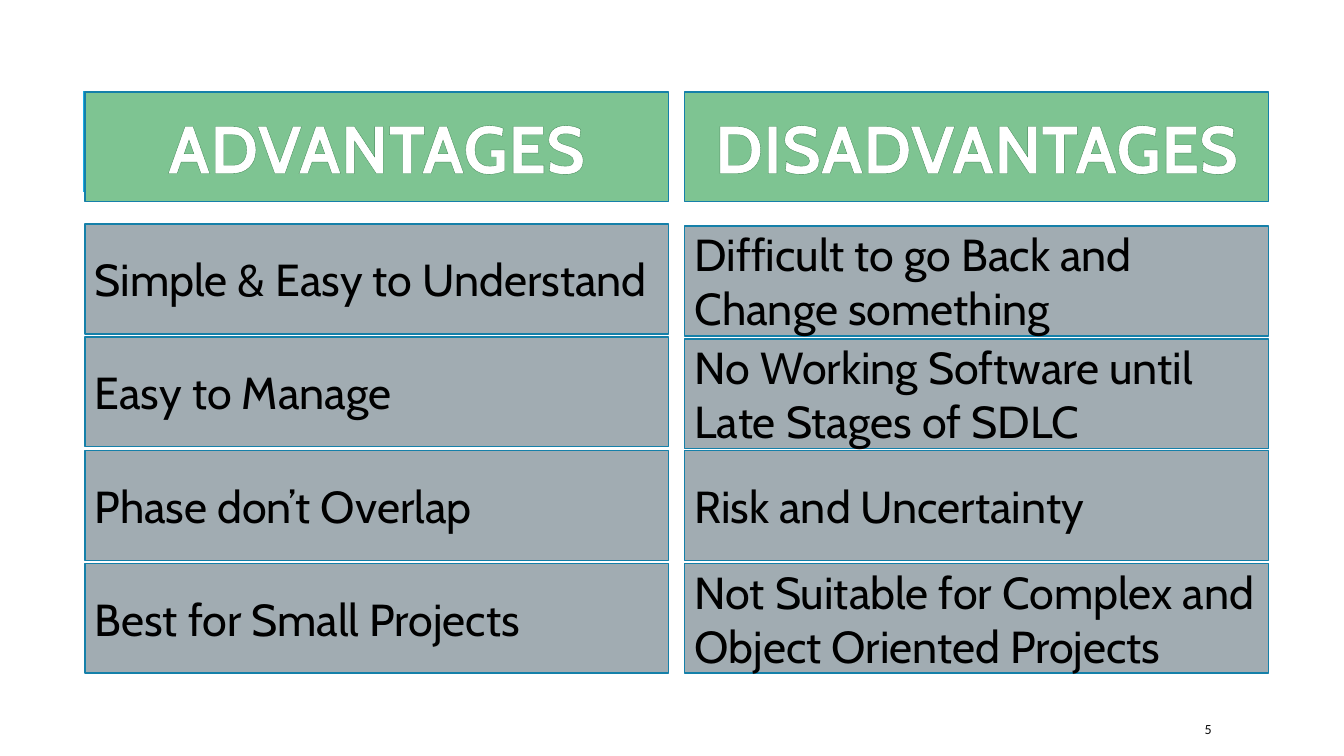
from dataclasses import dataclass

import lxml.etree
import pptx
import pptx.dml.color
import pptx.enum.shapes
import pptx.enum.text
import pptx.oxml
import pptx.oxml.ns
import pptx.util

EMU_PER_PX = 9144  # 100 px to the inch


@dataclass(frozen=True)
class Theme:
    heading_fill: str = "7EC492"
    heading_text: str = "FFFFFF"
    heading_outline: str = "3E8853"
    point_fill: str = "A1ACB2"
    point_text: str = "000000"
    border: str = "1580A9"
    accent: str = "1CADE4"
    number_text: str = "0D0D0D"
    font: str = "Cabin"
    number_font: str = "Calibri"
    heading_size: int = 48
    point_size: int = 32
    number_size: int = 10
    border_width: float = 1.25
    accent_width: float = 1.5
    outline_width: float = 0.8


@dataclass(frozen=True)
class Column:
    heading: str
    placeholder_idx: int
    left: int
    first_top: int
    points: tuple[str, ...]


THEME = Theme()
BOX_WIDTH, BOX_HEIGHT = 579, 109
HEADING_TOP, LAST_TOP = 91, 559

COLUMNS = (
    Column("ADVANTAGES", 1, 84, 222, (
        "Simple & Easy to Understand",
        "Easy to Manage",
        "Phase don’t Overlap",
        "Best for Small Projects",
    )),
    Column("DISADVANTAGES", 3, 679, 224, (
        "Difficult to go Back and Change something",
        "No Working Software until Late Stages of SDLC",
        "Risk and Uncertainty",
        "Not Suitable for Complex and Object Oriented Projects",
    )),
)


def px(length: int) -> pptx.util.Emu:
    return pptx.util.Emu(length * EMU_PER_PX)


def rgb(colour: str) -> pptx.dml.color.RGBColor:
    return pptx.dml.color.RGBColor.from_string(colour)


def style_box(box, fill: str) -> None:
    box.fill.solid()
    box.fill.fore_color.rgb = rgb(fill)
    box.line.color.rgb = rgb(THEME.border)
    box.line.width = pptx.util.Pt(THEME.border_width)


def write(box, text: str, size: int, colour: str, align, bold: bool = False):
    frame = box.text_frame
    frame.word_wrap = True
    frame.auto_size = pptx.enum.text.MSO_AUTO_SIZE.NONE
    frame.vertical_anchor = pptx.enum.text.MSO_ANCHOR.MIDDLE
    paragraph = frame.paragraphs[0]
    paragraph.alignment = align
    paragraph.space_before = pptx.util.Pt(0)
    run = paragraph.add_run()
    run.text = text
    run.font.name = THEME.font
    run.font.size = pptx.util.Pt(size)
    run.font.bold = bold
    run.font.color.rgb = rgb(colour)
    return run


def outline_text(run) -> None:
    width = pptx.util.Pt(THEME.outline_width)
    outline = pptx.oxml.parse_xml(
        f'<a:ln {pptx.oxml.ns.nsdecls("a")} w="{width}"><a:solidFill>'
        f'<a:srgbClr val="{THEME.heading_outline}"/></a:solidFill></a:ln>'
    )
    run.font._element.insert(0, outline)


def draw_accent(slide) -> None:
    accent = slide.shapes.add_connector(
        pptx.enum.shapes.MSO_CONNECTOR.STRAIGHT, px(83), px(190), px(83), px(90))
    accent.line.color.rgb = rgb(THEME.accent)
    accent.line.width = pptx.util.Pt(THEME.accent_width)
    lxml.etree.SubElement(accent._element.spPr, pptx.oxml.ns.qn("a:effectLst"))
    slide.shapes._spTree.insert(2, accent._element)  # behind the headings


def draw_column(slide, column: Column) -> None:
    # Heading
    heading = next(holder for holder in slide.placeholders
                   if holder.placeholder_format.idx == column.placeholder_idx)
    heading.left, heading.top = px(column.left), px(HEADING_TOP)
    heading.width, heading.height = px(BOX_WIDTH), px(BOX_HEIGHT)
    style_box(heading, THEME.heading_fill)
    outline_text(write(heading, column.heading, THEME.heading_size,
                       THEME.heading_text, pptx.enum.text.PP_ALIGN.CENTER, True))

    # Points, spread evenly down to the shared last row
    pitch = (LAST_TOP - column.first_top) / (len(column.points) - 1)
    for row, point in enumerate(column.points):
        box = slide.shapes.add_shape(
            pptx.enum.shapes.MSO_SHAPE.RECTANGLE, px(column.left),
            px(round(column.first_top + row * pitch)), px(BOX_WIDTH), px(BOX_HEIGHT))
        box.shadow.inherit = False
        style_box(box, THEME.point_fill)
        write(box, point, THEME.point_size, THEME.point_text,
              pptx.enum.text.PP_ALIGN.LEFT)


def draw_slide_number(slide) -> None:
    number = slide.shapes.add_textbox(px(1185), px(708), px(106), px(30))
    number.text_frame.word_wrap = True
    number.text_frame.vertical_anchor = pptx.enum.text.MSO_ANCHOR.MIDDLE
    run = number.text_frame.paragraphs[0].add_run()
    run.text = "5"
    run.font.name = THEME.number_font
    run.font.size = pptx.util.Pt(THEME.number_size)
    run.font.color.rgb = rgb(THEME.number_text)


def main() -> None:
    presentation = pptx.Presentation()
    presentation.slide_width, presentation.slide_height = px(1333), px(750)
    slide = presentation.slides.add_slide(presentation.slide_layouts[4])

    draw_accent(slide)
    for column in COLUMNS:
        draw_column(slide, column)
    draw_slide_number(slide)

    # Placeholders this slide leaves empty
    for holder in list(slide.placeholders):
        if not holder.text_frame.text:
            holder._element.getparent().remove(holder._element)

    presentation.save("out.pptx")


if __name__ == "__main__":
    main()
